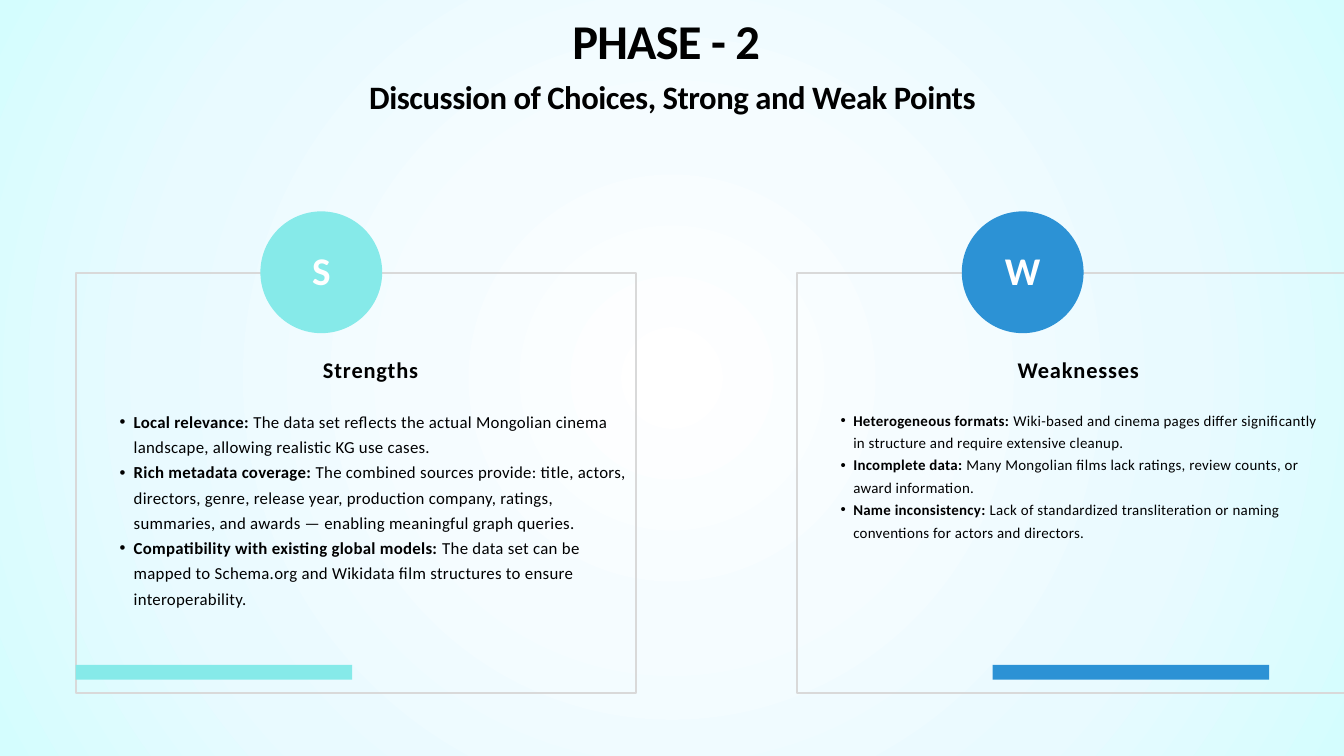
"""Build the Phase 2 slide that sets strengths beside weaknesses."""
from dataclasses import dataclass

from lxml import etree
from pptx import Presentation
from pptx.dml.color import RGBColor
from pptx.enum.shapes import MSO_SHAPE
from pptx.enum.text import MSO_ANCHOR, MSO_AUTO_SIZE, PP_ALIGN
from pptx.oxml import parse_xml
from pptx.oxml.ns import nsdecls, qn
from pptx.shapes.autoshape import Shape
from pptx.slide import Slide
from pptx.text.text import TextFrame, _Paragraph
from pptx.util import Emu, Pt

RECTANGLE, OVAL = MSO_SHAPE.RECTANGLE, MSO_SHAPE.OVAL
TOP, MIDDLE = MSO_ANCHOR.TOP, MSO_ANCHOR.MIDDLE
LEFT, CENTER = PP_ALIGN.LEFT, PP_ALIGN.CENTER
FIXED = MSO_AUTO_SIZE.NONE

PX = 9525
COMPARISON_LAYOUT = 4
FONT = "Calibri"
BLACK = RGBColor(0x00, 0x00, 0x00)
WHITE = RGBColor(0xFF, 0xFF, 0xFF)
GREY = RGBColor(0xD9, 0xD9, 0xD9)
AQUA = RGBColor(0x86, 0xEA, 0xE9)
BLUE = RGBColor(0x2C, 0x92, 0xD5)
GLOW = (
    (0, WHITE),
    (33, RGBColor(0xF5, 0xFC, 0xFF)),
    (67, RGBColor(0xE9, 0xFA, 0xFF)),
    (100, RGBColor(0xD4, 0xFD, 0xFE)),
)


@dataclass(frozen=True)
class Box:
    left: int
    top: int
    width: int
    height: int


@dataclass(frozen=True)
class TextStyle:
    size: int
    line: float
    spacing: int = 0
    bold: bool | None = True
    color: RGBColor = BLACK
    align: PP_ALIGN = CENTER


@dataclass(frozen=True)
class Point:
    lead: str
    detail: str


@dataclass(frozen=True)
class Panel:
    letter: str
    heading: str
    color: RGBColor
    frame_left: int
    circle_left: int
    bar_left: int
    text_left: int
    text_width: int
    indent: int
    style: TextStyle
    points: tuple[Point, ...]


TITLE = TextStyle(52, 72.8, -80)
SUBTITLE = TextStyle(35, 49, -50)
HEADING = TextStyle(24, 30.9, 90)
LETTER = TextStyle(42, 58.8, color=WHITE)

PANELS = (
    Panel("S", "Strengths", AQUA, 108, 372, 108, 151, 757, 40,
          TextStyle(18, 27, 30, None, align=LEFT), (
              Point("Local relevance:",
                    " The data set reflects the actual Mongolian cinema landscape, "
                    "allowing realistic KG use cases."),
              Point("Rich metadata coverage: ",
                    "The combined sources provide: title, actors, directors, genre, "
                    "release year, production company, ratings, summaries, and awards "
                    "— enabling meaningful graph queries."),
              Point("Compatibility with existing global models: ",
                    "The data set can be mapped to Schema.org and Wikidata film "
                    "structures to ensure interoperability."),
          )),
    Panel("W", "Weaknesses", BLUE, 1138, 1374, 1418, 1183, 715, 36,
          TextStyle(16, 24, 30, None, align=LEFT), (
              Point("Heterogeneous formats: ",
                    "Wiki-based and cinema pages differ significantly in structure "
                    "and require extensive cleanup."),
              Point("Incomplete data: ",
                    "Many Mongolian films lack ratings, review counts, or award "
                    "information."),
              Point("Name inconsistency: ",
                    "Lack of standardized transliteration or naming conventions for "
                    "actors and directors."),
          )),
)


def px(length: int) -> Emu:
    """Turn a length in px into EMU."""
    return Emu(length * PX)


def place(shape: Shape, box: Box) -> None:
    """Move and size a shape."""
    shape.left, shape.top = px(box.left), px(box.top)
    shape.width, shape.height = px(box.width), px(box.height)


def prepare_frame(frame: TextFrame, anchor: MSO_ANCHOR = TOP, bottom: int = 0) -> None:
    """Give a text frame wrapping, fixed size and plain insets."""
    frame.word_wrap = True
    frame.auto_size = FIXED
    frame.vertical_anchor = anchor
    frame.margin_left = frame.margin_top = frame.margin_right = 0
    frame.margin_bottom = px(bottom)


def format_paragraph(para: _Paragraph, style: TextStyle) -> None:
    """Apply a text style to a whole paragraph."""
    para.alignment = style.align
    para.line_spacing = Pt(style.line)
    para.space_before = para.space_after = Pt(0)
    font = para.font
    font.name, font.size, font.bold = FONT, Pt(style.size), style.bold
    font.color.rgb = style.color
    para._p.pPr.find(qn("a:defRPr")).set("spc", str(style.spacing))


def write_line(shape: Shape, box: Box, text: str, style: TextStyle) -> None:
    """Place a shape and fill it with one styled line."""
    place(shape, box)
    prepare_frame(shape.text_frame)
    shape.text_frame.text = text
    format_paragraph(shape.text_frame.paragraphs[0], style)


def write_points(shape: Shape, box: Box, panel: Panel) -> None:
    """Write bulleted points, each with a bold lead."""
    place(shape, box)
    frame = shape.text_frame
    prepare_frame(frame)
    for index, point in enumerate(panel.points):
        para = frame.add_paragraph() if index else frame.paragraphs[0]
        properties = para._p.get_or_add_pPr()
        properties.set("marL", str(px(panel.indent)))
        properties.set("indent", str(-px(panel.indent // 2)))
        etree.SubElement(properties, qn("a:buFont"), typeface="Arial")
        etree.SubElement(properties, qn("a:buChar"), char="•")
        format_paragraph(para, panel.style)
        for text, bold in ((point.lead, True), (point.detail, False)):
            span = para.add_run()
            span.text, span.font.bold = text, bold


def add_block(slide: Slide, kind: MSO_SHAPE, box: Box, color: RGBColor | None) -> Shape:
    """Add a filled shape, or a grey outline when no colour is given."""
    shape = slide.shapes.add_shape(kind, 0, 0, 0, 0)
    place(shape, box)
    shape.shadow.inherit = False
    if color is None:
        shape.fill.background()
        shape.line.color.rgb, shape.line.width = GREY, Pt(2.25)
    else:
        shape.fill.solid()
        shape.fill.fore_color.rgb = color
        shape.line.fill.background()
    return shape


def paint_background(slide: Slide) -> None:
    """Give the slide a circular gradient from its centre."""
    slide.background.fill.gradient()
    stops = "".join(f'<a:gs pos="{position * 1000}"><a:srgbClr val="{color}"/></a:gs>'
                    for position, color in GLOW)
    gradient = parse_xml(
        f'<a:gradFill {nsdecls("a")} rotWithShape="1"><a:gsLst>{stops}</a:gsLst>'
        '<a:path path="circle"><a:fillToRect l="50000" t="50000" r="50000" b="50000"/>'
        '</a:path></a:gradFill>')
    linear = slide.element.xpath(".//p:bgPr/a:gradFill")[0]
    linear.getparent().replace(linear, gradient)


def draw_panel(slide: Slide, panel: Panel, heading: Shape, body: Shape) -> None:
    """Draw one framed panel with its badge, bar, heading and points."""
    add_block(slide, RECTANGLE, Box(panel.frame_left, 390, 800, 600), None)
    add_block(slide, RECTANGLE, Box(panel.bar_left, 950, 395, 21), panel.color)
    badge = add_block(slide, OVAL, Box(panel.circle_left, 302, 174, 174), panel.color)
    prepare_frame(badge.text_frame, MIDDLE, 19)
    badge.text_frame.text = panel.letter
    format_paragraph(badge.text_frame.paragraphs[0], LETTER)
    write_line(heading, Box(panel.text_left, 506, panel.text_width, 39),
               panel.heading, HEADING)
    write_points(body, Box(panel.text_left, 581, panel.text_width, 343), panel)


def main() -> None:
    """Build and save the deck."""
    deck = Presentation()
    deck.slide_width, deck.slide_height = px(1920), px(1080)
    slide = deck.slides.add_slide(deck.slide_layouts[COMPARISON_LAYOUT])
    paint_background(slide)
    title, *holders = slide.placeholders
    write_line(title, Box(783, 2, 352, 94), "PHASE - 2 ", TITLE)
    write_line(slide.shapes.add_textbox(0, 0, 0, 0), Box(316, 101, 1289, 62),
               "Discussion of Choices, Strong and Weak Points", SUBTITLE)
    for panel, heading, body in zip(PANELS, holders[::2], holders[1::2]):
        draw_panel(slide, panel, heading, body)
    deck.save("out.pptx")


if __name__ == "__main__":
    main()
